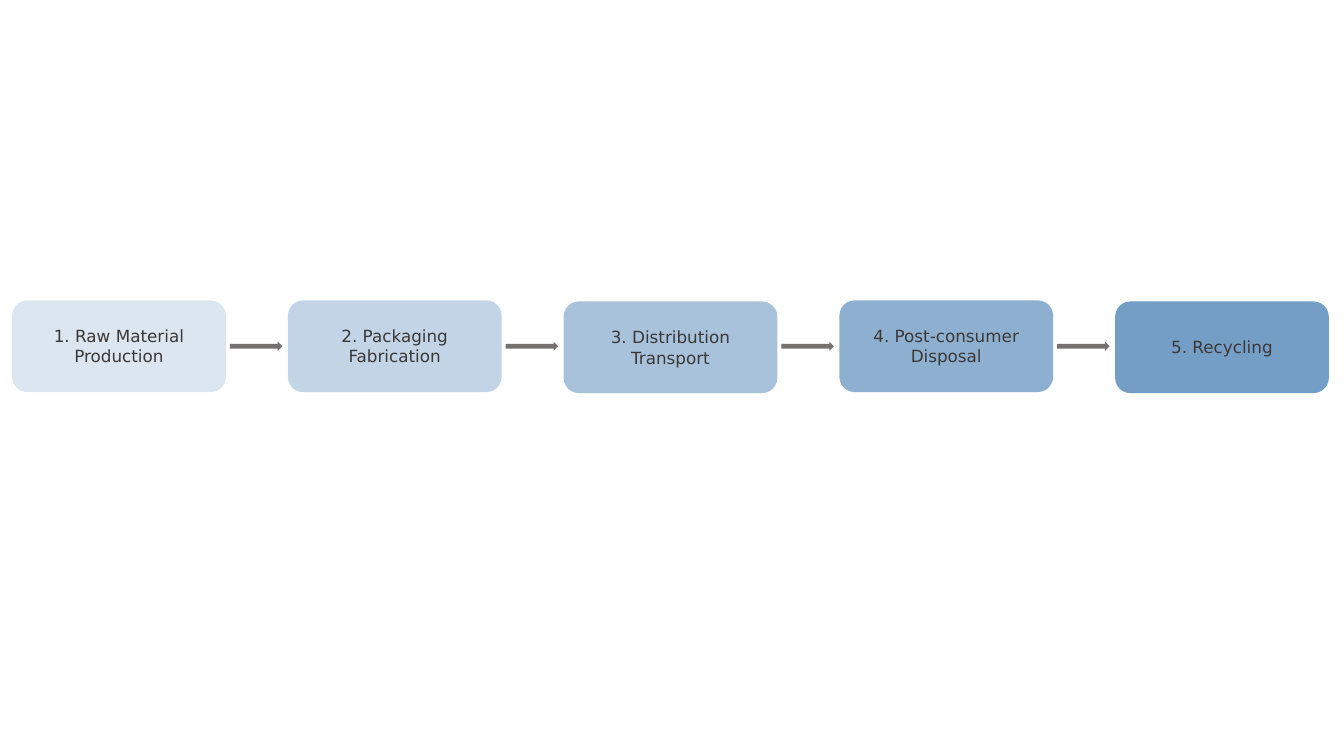
from lxml import etree
from pptx import Presentation
from pptx import util as u
from pptx.dml.color import RGBColor
from pptx.enum import shapes, text
from pptx.oxml.ns import qn


def color(value):
    return RGBColor.from_string(value)


class Deck:
    font = {"name": "DejaVu Sans", "size": u.Pt(12)}
    ink, blue, grey = "3B3838", "5286B8", "767171"

    def __init__(self, prs):
        self.s = prs.slides.add_slide(prs.slide_layouts[6])

    def shape(self, kind, box, fill):
        sp = self.s.shapes.add_shape(kind, *map(u.Inches, box))
        sp.shadow.inherit = False
        sp.line.fill.background()
        sp.fill.solid()
        sp.fill.fore_color.rgb = color(fill)
        return sp

    def step(self, label, box, opacity):
        sp = self.shape(shapes.MSO_SHAPE.ROUNDED_RECTANGLE, box, self.blue)
        clr = sp._element.spPr.find(qn("a:solidFill")).find(qn("a:srgbClr"))
        etree.SubElement(clr, qn("a:alpha")).set("val", str(opacity * 1000))
        tf = sp.text_frame
        tf.word_wrap = True
        tf.vertical_anchor = text.MSO_ANCHOR.MIDDLE
        p = tf.paragraphs[0]
        p.alignment = text.PP_ALIGN.CENTER
        r = p.add_run()
        r.text = label
        for key, value in self.font.items():
            setattr(r.font, key, value)
        r.font.color.rgb = color(self.ink)

    def arrow(self, box):
        self.shape(shapes.MSO_SHAPE.RIGHT_ARROW, box, self.grey)


prs = Presentation()
prs.slide_width, prs.slide_height = u.Inches(13.33), u.Inches(7.5)
deck = Deck(prs)

steps = [
    ("1. Raw Material Production", 2.98),
    ("2. Packaging Fabrication", 2.98),
    ("3. Distribution Transport", 2.99),
    ("4. Post-consumer Disposal", 2.98),
    ("5. Recycling", 2.99),
]
first, last = 0.12, 11.06
pitch = (last - first) / (len(steps) - 1)

for i, (label, top) in enumerate(steps):
    deck.step(label, (first + i * pitch, top, 2.12, 0.91), 20 + 15 * i)
for i in range(len(steps) - 1):
    deck.arrow((2.28 + i * pitch, 3.39, 0.52, 0.09))

prs.save("out.pptx")
